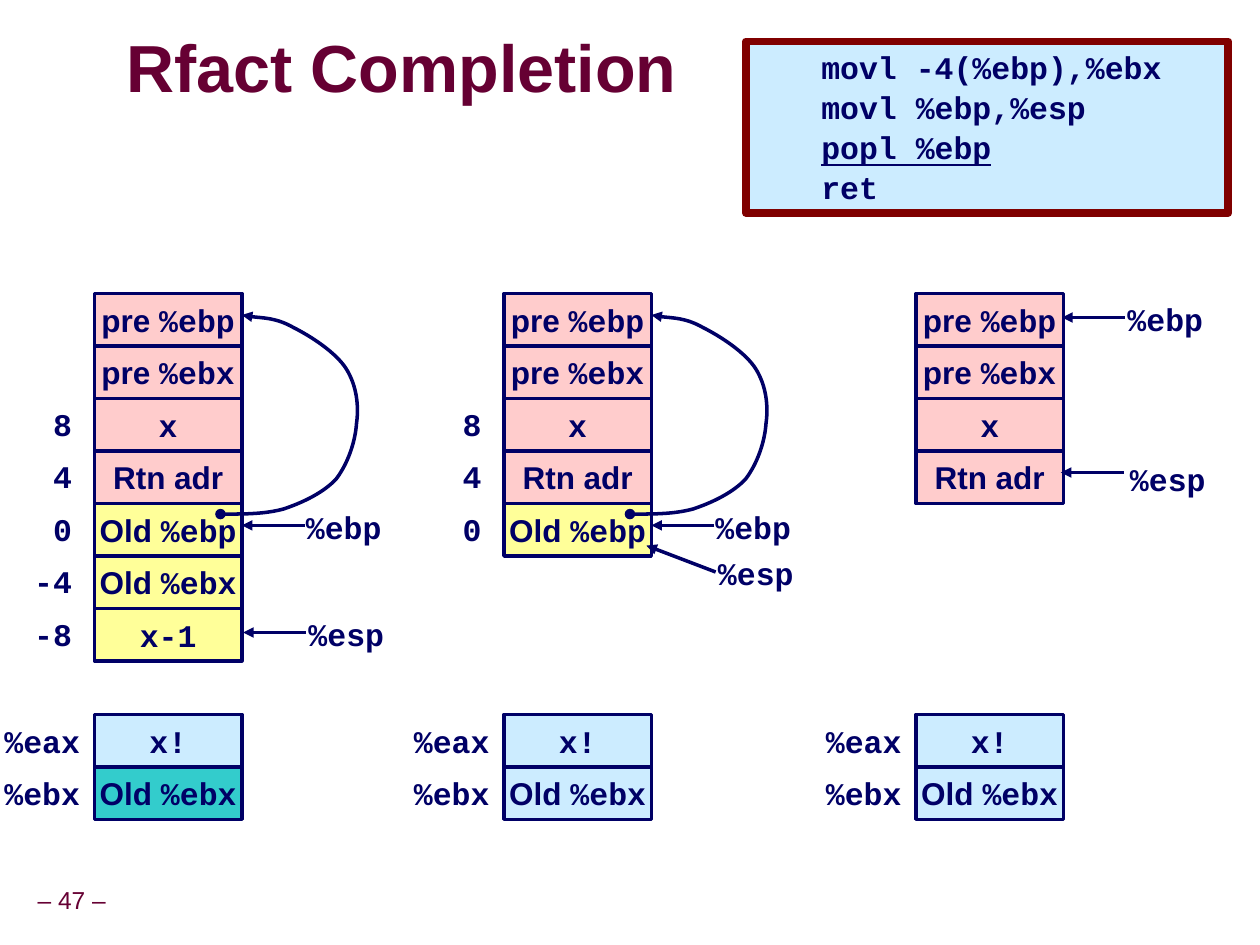
import pptx
import pptx.util
import pptx.dml.color
import pptx.enum.shapes
import pptx.enum.text
import pptx.oxml
import pptx.oxml.ns
from pptx.util import Inches
from lxml import etree

SANS, MONO = "Arial", "Courier New"
NAVY, MAROON = "000066", "660033"
PINK, YELLOW, SKY, TEAL, WHITE = "FFCCCC", "FFFF99", "CCECFF", "33CCCC", "FFFFFF"
ROW, CELL_W = 5 / 12, 1.17
TOP, REGISTERS_TOP = 2.33, 5.67
ALIGN = pptx.enum.text.PP_ALIGN
ANCHOR = pptx.enum.text.MSO_ANCHOR

CALLER = [("pre ", "%ebp"), ("pre ", "%ebx"), ("", "x"), ("Rtn adr", "")]
SAVED = [("Old ", "%ebp"), ("Old ", "%ebx"), ("", "x-1")]
OFFSETS = ["8", "4", "0", "-4", "-8"]
CODE = ["movl -4(%ebp),%ebx", "movl %ebp,%esp", "popl %ebp", "ret"]
CURVE = [(1.75, 1.75), (1.92, 1.75), (2.1, 1.75), (2.25, 1.71), (2.4, 1.66), (2.57, 1.58),
         (2.67, 1.47), (2.76, 1.35), (2.82, 1.18), (2.83, 1.03), (2.85, 0.89), (2.83, 0.73),
         (2.75, 0.6), (2.67, 0.47), (2.47, 0.34), (2.33, 0.27), (2.19, 0.19), (1.99, 0.19),
         (1.92, 0.17)]
EBP = ("%ebp", (2.33, 1.65), (2.42, 1.84), (1.92, 1.84))
FRAMES = [
    dict(left=0, saved=3, curve=True, offsets=5, ebx=TEAL,
         pointers=[EBP, ("%esp", (2.35, 2.5), (2.43, 2.69), (1.93, 2.69))]),
    dict(left=3.25, saved=1, curve=True, offsets=3, ebx=SKY,
         pointers=[EBP, ("%esp", (2.35, 2.02), (2.43, 2.21), (1.88, 2))]),
    dict(left=6.52, saved=0, curve=False, offsets=0, ebx=SKY,
         pointers=[("%ebp", (2.33, 0), (2.41, 0.19), (1.91, 0.19)),
                   ("%esp", (2.35, 1.27), (2.4, 1.42), (1.9, 1.42))]),
]


def rgb(value):
    """Turn a hex string into a colour."""
    return pptx.dml.color.RGBColor.from_string(value)


def add_run(p, text, font=MONO, size=18, color=NAVY, bold=True):
    """Append one formatted run to a paragraph."""
    r = p.add_run()
    r.text = text
    r.font.name, r.font.size, r.font.bold = font, pptx.util.Pt(size), bold
    r.font.color.rgb = rgb(color)
    return r


def style_line(line, color=NAVY, width=2, **ends):
    """Set a line's colour, width and arrowheads."""
    line.color.rgb = rgb(color)
    line.width = pptx.util.Pt(width)
    for tag in ("headEnd", "tailEnd"):
        if tag in ends:
            end = etree.SubElement(line._get_or_add_ln(), pptx.oxml.ns.qn("a:" + tag))
            end.set("type", ends[tag])


def add_box(s, x, y, w, h, fill, line=None, width=2):
    """Draw a filled rectangle, outlined when a line colour is given."""
    sp = s.shapes.add_shape(pptx.enum.shapes.MSO_SHAPE.RECTANGLE,
                            Inches(x), Inches(y), Inches(w), Inches(h))
    sp.shadow.inherit = False
    sp.fill.solid()
    sp.fill.fore_color.rgb = rgb(fill)
    if line:
        style_line(sp.line, line, width)
    else:
        sp.line.fill.background()
    return sp


def add_cell(s, x, y, w, sans, mono, fill, line=None):
    """Draw one cell with centred plain text followed by code text."""
    tf = add_box(s, x, y, w, ROW, fill, line).text_frame
    tf.word_wrap = False
    tf.vertical_anchor = ANCHOR.MIDDLE
    p = tf.paragraphs[0]
    p.alignment = ALIGN.CENTER
    for text, font in ((sans, SANS), (mono, MONO)):
        if text:
            add_run(p, text, font)


def add_label(s, x, y, w, text, align=ALIGN.LEFT):
    """Place a one-line code label."""
    tf = s.shapes.add_textbox(Inches(x), Inches(y), Inches(w), Inches(0.4)).text_frame
    tf.word_wrap = False
    tf.paragraphs[0].alignment = align
    add_run(tf.paragraphs[0], text)


def add_arrow(s, x1, y1, x2, y2):
    """Draw a straight arrow."""
    c = s.shapes.add_connector(pptx.enum.shapes.MSO_CONNECTOR.STRAIGHT,
                               Inches(x1), Inches(y1), Inches(x2), Inches(y2))
    style_line(c.line, tailEnd="triangle")
    etree.SubElement(c._element.spPr, pptx.oxml.ns.qn("a:effectLst"))


def add_curve(s, x, y):
    """Draw the saved-pointer curve as cubic segments."""
    points = [(Inches(x + dx), Inches(y + dy)) for dx, dy in CURVE]
    builder = s.shapes.build_freeform(*points[0])
    builder.add_line_segments(points[1:], close=False)
    sp = builder.convert_to_shape()
    sp.shadow.inherit = False
    sp.fill.background()
    style_line(sp.line, headEnd="oval", tailEnd="triangle")
    steps = list(sp._element.iter(pptx.oxml.ns.qn("a:lnTo")))
    for first, second, third in zip(steps[::3], steps[1::3], steps[2::3]):
        first.tag = pptx.oxml.ns.qn("a:cubicBezTo")
        for step in (second, third):
            first.append(step[0])
            step.getparent().remove(step)


def add_frame(s, x, y, saved, offsets, curve, pointers):
    """Draw one stack with its offsets and pointers."""
    rows = [(c, PINK) for c in CALLER] + [(c, YELLOW) for c in SAVED[:saved]]
    for i, (texts, fill) in enumerate(rows):
        add_cell(s, x + 0.75, y + i * ROW, CELL_W, *texts, fill, NAVY)
    for i, text in enumerate(OFFSETS[:offsets], start=2):
        add_label(s, x + 0.17, y + i * ROW, 0.5, text, ALIGN.RIGHT)
    for name, (lx, ly), (x1, y1), (x2, y2) in pointers:
        add_arrow(s, x + x1, y + y1, x + x2, y + y2)
        add_label(s, x + lx, y + ly, 0.8, name)
    if curve:
        add_curve(s, x, y)


def add_registers(s, x, y, ebx_fill):
    """Draw the two registers and their names."""
    rows = [("%eax", ("", "x!"), SKY), ("%ebx", ("Old ", "%ebx"), ebx_fill)]
    for i, (name, texts, fill) in enumerate(rows):
        add_cell(s, x, y + i * ROW, 0.67, "", name, WHITE)
        add_cell(s, x + 0.75, y + i * ROW, CELL_W, *texts, fill, NAVY)


def add_code(s, x, y, w, h):
    """Draw the code panel with the current instruction underlined."""
    tf = add_box(s, x, y, w, h, SKY, "800000", 4.5).text_frame
    tf.word_wrap = True
    tf.vertical_anchor = ANCHOR.MIDDLE
    for i, text in enumerate(CODE):
        p = tf.add_paragraph() if i else tf.paragraphs[0]
        p.alignment = ALIGN.LEFT
        p.space_before = pptx.util.Pt(1.3 if i else 0)
        tabs = etree.SubElement(p._p.get_or_add_pPr(), pptx.oxml.ns.qn("a:tabLst"))
        etree.SubElement(tabs, pptx.oxml.ns.qn("a:tab"), pos=str(Inches(0.5)), algn="l")
        add_run(p, "\t")
        add_run(p, text).font.underline = text.startswith("popl")


def add_title(s, x, y, w, h):
    """Move and format the title, with a soft text shadow."""
    sp = s.shapes.title
    sp.left, sp.top, sp.width, sp.height = (Inches(v) for v in (x, y, w, h))
    tf = sp.text_frame
    tf.margin_left = tf.margin_right = tf.margin_top = tf.margin_bottom = 0
    tf.vertical_anchor = ANCHOR.MIDDLE
    p = tf.paragraphs[0]
    p.alignment, p.line_spacing = ALIGN.LEFT, 0.87
    r = add_run(p, "Rfact Completion", SANS, 38, MAROON)
    shadow = pptx.oxml.parse_xml(
        f'<a:effectLst {pptx.oxml.ns.nsdecls("a")}><a:outerShdw blurRad="38100" dist="38100" '
        'dir="2700000"><a:srgbClr val="C0C0C0"/></a:outerShdw></a:effectLst>')
    r.font._element.find(pptx.oxml.ns.qn("a:solidFill")).addnext(shadow)


def add_page_number(s, x, y, w, h):
    """Place the page number."""
    tf = s.shapes.add_textbox(Inches(x), Inches(y), Inches(w), Inches(h)).text_frame
    tf.margin_left = tf.margin_right = Inches(0.05)
    tf.word_wrap = False
    tf.vertical_anchor = ANCHOR.MIDDLE
    p = tf.paragraphs[0]
    p.alignment, p.line_spacing = ALIGN.CENTER, 0.9
    add_run(p, "– 47 –", SANS, 14, MAROON, False)


def main():
    """Build and save the slide."""
    prs = pptx.Presentation()
    prs.slide_width, prs.slide_height = Inches(10), Inches(7.5)
    s = prs.slides.add_slide(prs.slide_layouts[5])
    add_page_number(s, 0.24, 7, 0.66, 0.31)
    add_title(s, 1, 0.25, 6.14, 0.63)
    for f in FRAMES:
        add_frame(s, f["left"], TOP, f["saved"], f["offsets"], f["curve"], f["pointers"])
        add_registers(s, f["left"], REGISTERS_TOP, f["ebx"])
    add_code(s, 5.92, 0.33, 3.83, 1.36)
    prs.save("out.pptx")


if __name__ == "__main__":
    main()
